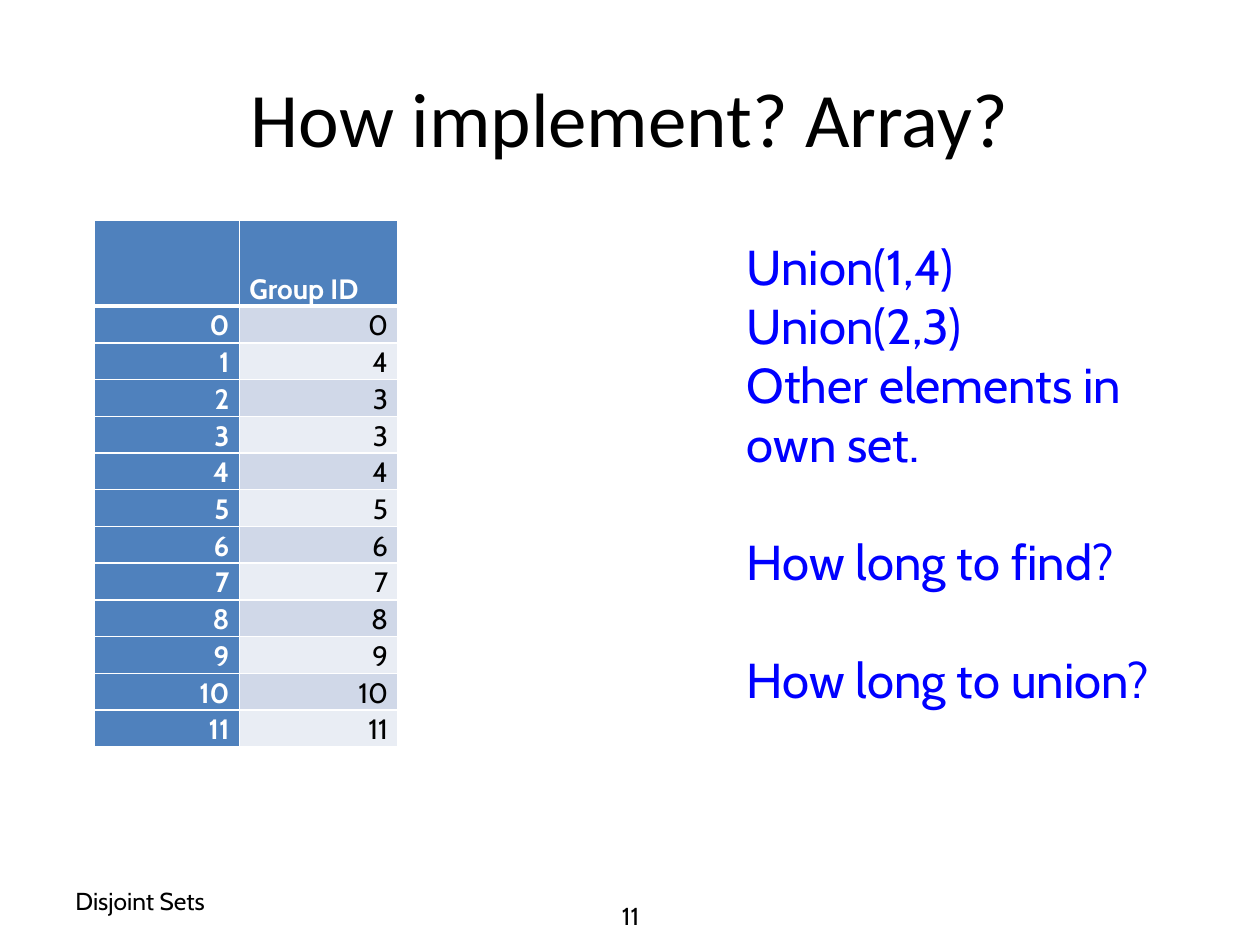
from dataclasses import dataclass

from lxml.etree import SubElement
from pptx import Presentation
from pptx.dml.color import RGBColor
from pptx.enum.text import MSO_ANCHOR as Anchor, PP_ALIGN as Align
from pptx.oxml.ns import qn
from pptx.util import Inches, Pt

BLACK = RGBColor(0x00, 0x00, 0x00)
WHITE = RGBColor(0xFF, 0xFF, 0xFF)
BLUE = RGBColor(0x00, 0x00, 0xFF)
HEADER = RGBColor(0x4F, 0x81, 0xBD)
BANDS = (RGBColor(0xD0, 0xD8, 0xE8), RGBColor(0xE9, 0xED, 0xF4))
GROUP_IDS = (0, 4, 3, 3, 4, 5, 6, 7, 8, 9, 10, 11)


@dataclass
class Line:
    text: str
    space_before: float = 0


@dataclass
class Label:
    left: float
    top: float
    width: float
    height: float
    lines: list[Line]
    size: float = 14
    color: RGBColor = BLACK
    align: Align = Align.LEFT
    anchor: Anchor = Anchor.MIDDLE
    margin_top: float = 0.05


LABELS = (
    Label(0.5, 6.95, 2.33, 0.4, [Line("Disjoint Sets")]),
    Label(3.42, 6.95, 3.17, 0.4, [Line("11")], align=Align.CENTER,
          anchor=Anchor.TOP, margin_top=0.2),
    Label(5.83, 1.83, 3.9, 3.87, [
        Line("Union(1,4)"),
        Line("Union(2,3)"),
        Line("Other elements in own set."),
        Line("How long to find?", 34),
        Line("How long to union?", 34),
    ], size=28, color=BLUE, anchor=Anchor.TOP),
)


def style_font(font, name: str, size: float, color: RGBColor, bold: bool = False) -> None:
    font.name = name
    font.size = Pt(size)
    font.bold = bold
    font.color.rgb = color


def add_label(s, label: Label) -> None:
    box = s.shapes.add_textbox(Inches(label.left), Inches(label.top),
                               Inches(label.width), Inches(label.height))
    tf = box.text_frame
    tf.word_wrap = True
    tf.vertical_anchor = label.anchor
    tf.margin_top = Inches(label.margin_top)
    for i, line in enumerate(label.lines):
        p = tf.add_paragraph() if i else tf.paragraphs[0]
        p.text = line.text
        p.alignment = label.align
        if line.space_before:
            p.space_before = Pt(line.space_before)
        style_font(p.runs[0].font, "Cabin", label.size, label.color)


def add_borders(cell, top: float, bottom: float) -> None:
    tc_pr = cell._tc.get_or_add_tcPr()
    for side, width in (("L", 1), ("R", 1), ("T", top), ("B", bottom)):
        ln = SubElement(tc_pr, qn(f"a:ln{side}"), w=str(Pt(width)))
        fill = SubElement(ln, qn("a:solidFill"))
        SubElement(fill, qn("a:srgbClr"), val=str(WHITE))


def fill_cell(cell, text: str, row: int, col: int) -> None:
    is_header = row == 0 or col == 0
    add_borders(cell, 3 if row == 1 else 1, 3 if row == 0 else 1)
    cell.fill.solid()
    cell.fill.fore_color.rgb = HEADER if is_header else BANDS[(row - 1) % 2]
    cell.vertical_anchor = Anchor.BOTTOM
    cell.margin_left = cell.margin_right = Inches(0.08)
    cell.margin_top = cell.margin_bottom = 0
    cell.text = text
    p = cell.text_frame.paragraphs[0]
    p.alignment = Align.RIGHT if row else Align.LEFT
    for r in p.runs:
        style_font(r.font, "Cabin", 16, WHITE if is_header else BLACK, is_header)


def add_group_table(s) -> None:
    rows = [("", "Group ID")] + [(str(i), str(g)) for i, g in enumerate(GROUP_IDS)]
    table = s.shapes.add_table(len(rows), 2, Inches(0.75), Inches(1.75),
                               Inches(2.41), Inches(4.18)).table
    table.first_col = True
    for col, width in zip(table.columns, (1.15, 1.26)):
        col.width = Inches(width)
    for i, values in enumerate(rows):
        table.rows[i].height = Inches(3.5 / len(GROUP_IDS) if i else 0.68)
        for j, text in enumerate(values):
            fill_cell(table.cell(i, j), text, i, j)


def add_title(s, text: str) -> None:
    title = s.shapes.title
    title.left, title.top = Inches(0.5), Inches(0.3)
    title.width, title.height = Inches(9), Inches(1.25)
    tf = title.text_frame
    tf.text = text
    tf.vertical_anchor = Anchor.MIDDLE
    p = tf.paragraphs[0]
    p.alignment = Align.CENTER
    style_font(p.runs[0].font, "Calibri", 44, BLACK)


def main() -> None:
    prs = Presentation()
    prs.slide_width, prs.slide_height = Inches(10), Inches(7.5)
    s = prs.slides.add_slide(prs.slide_layouts[5])
    add_title(s, "How implement? Array?")
    add_group_table(s)
    for label in LABELS:
        add_label(s, label)
    prs.save("out.pptx")


if __name__ == "__main__":
    main()
